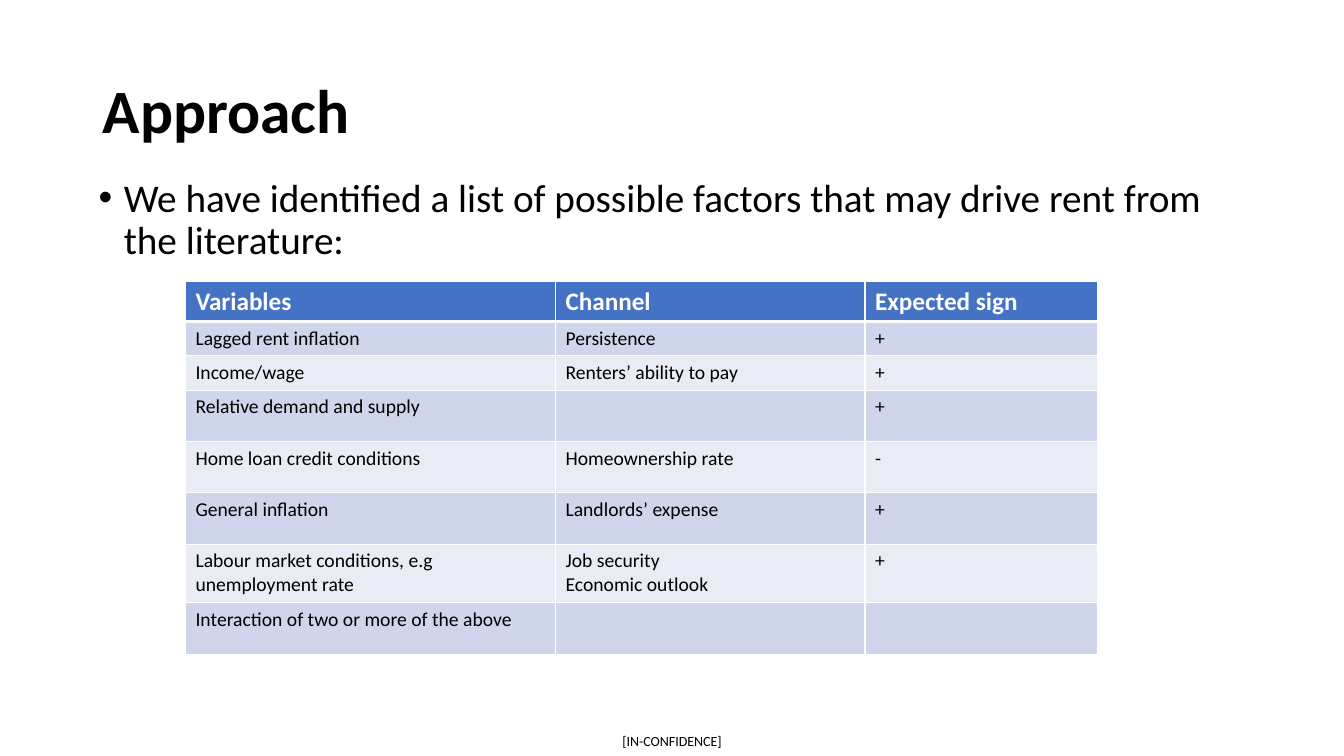
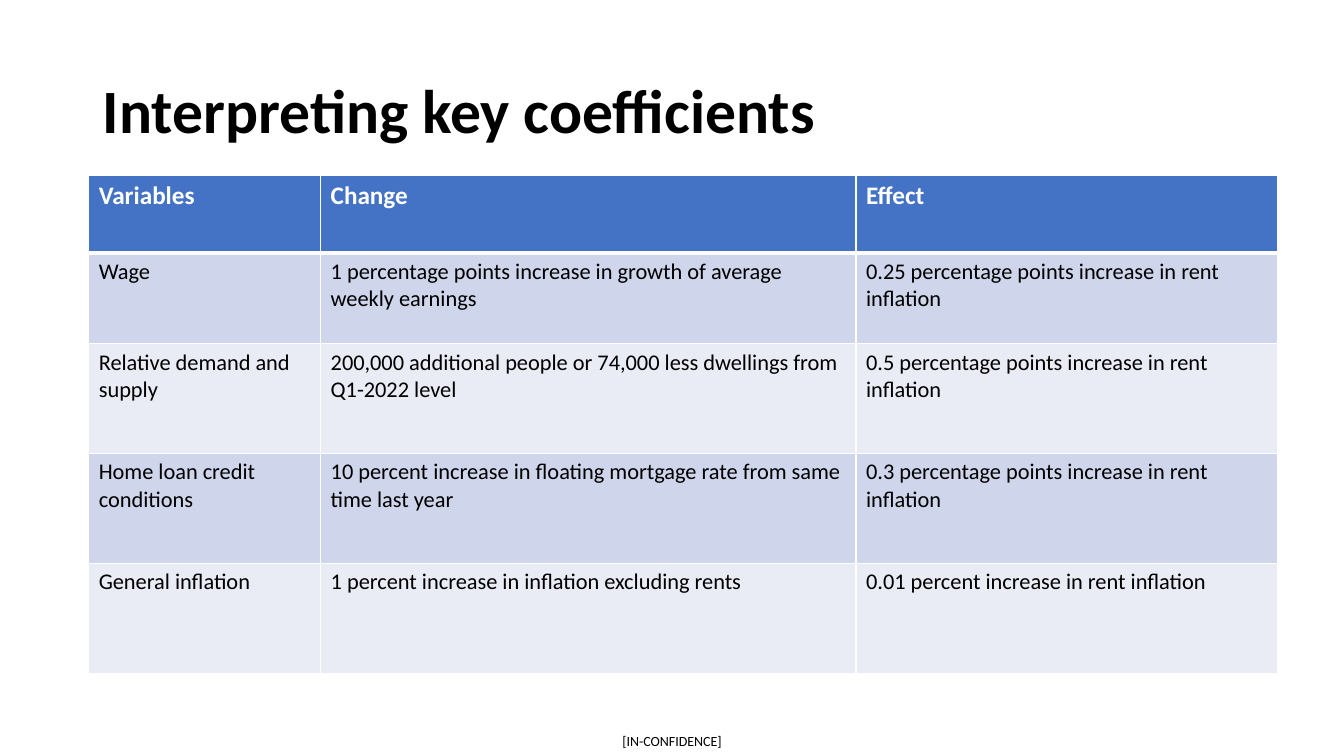
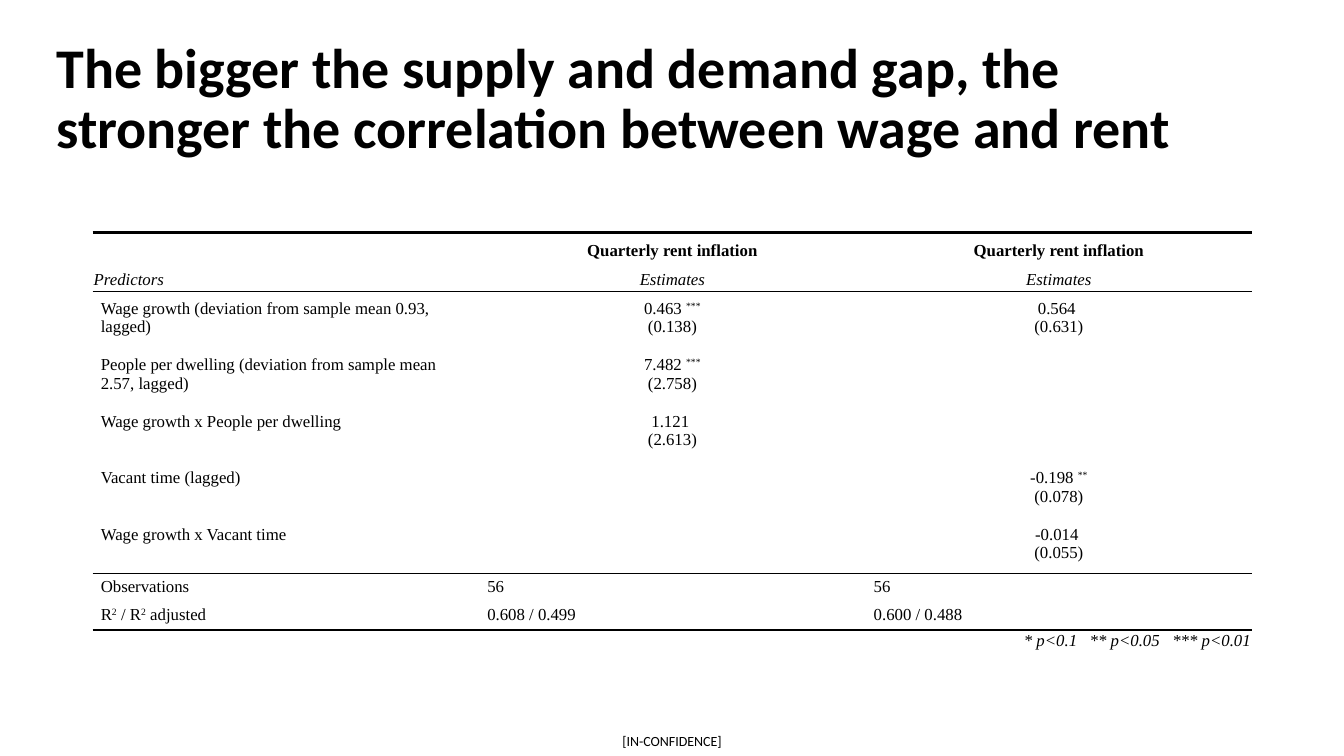
from dataclasses import dataclass, field
from typing import NamedTuple

from lxml.etree import SubElement
from pptx import Presentation
from pptx.dml.color import RGBColor
from pptx.enum.text import MSO_ANCHOR as Anchor, MSO_AUTO_SIZE as AutoSize, PP_ALIGN as Align
from pptx.oxml.ns import qn
from pptx.util import Emu, Inches, Pt

COLOURS = {
    "ink": "000000",
    "paper": "FFFFFF",
    "header": "4472C4",
    "dark band": "CFD5EA",
    "light band": "E9EBF5",
}
SANS, SERIF = "Calibri", "Times New Roman"
ALIGNS = {"l": Align.LEFT, "c": Align.CENTER, "r": Align.RIGHT}
SLIDE_WIDTH, SLIDE_HEIGHT = Inches(13.33), Inches(7.5)
TITLE_ONLY = 5


class Box(NamedTuple):
    """A place in percent of the slide's width and height."""
    left: float
    top: float
    width: float
    height: float

    def lengths(self) -> tuple[Emu, ...]:
        sides = (SLIDE_WIDTH, SLIDE_HEIGHT) * 2
        return tuple(Emu(round(side * share / 100)) for side, share in zip(sides, self))


class TextStyle(NamedTuple):
    size: float
    font: str = SANS
    colour: str = "ink"
    bold: bool = False
    italic: bool = False


class RowStyle(NamedTuple):
    text: TextStyle
    fill: str | None = None
    aligns: str = "lll"
    anchor: Anchor = Anchor.TOP
    inset_x: float = 0.1
    inset_y: float = 0.05


class Row(NamedTuple):
    height: float
    style: RowStyle
    cells: tuple[str, ...]


@dataclass
class Grid:
    """A table; columns and rows share the box in proportion."""
    box: Box
    columns: tuple[float, ...]
    rows: list[Row]
    line_colour: str = "paper"
    line_width: float = 1
    rules: dict[int, float] = field(default_factory=lambda: {1: 3})


TITLE_BOX = Box(6.9, 5.33, 86.27, 19.33)
WIDE_TITLE_BOX = Box(3.45, 3.6, 86.27, 19.33)
BODY_BOX = Box(6.6, 22.93, 86.5, 69.07)
FOOTER_BOX = Box(45.09, 96.13, 9.83, 3.87)

HEADER = RowStyle(TextStyle(18, colour="paper", bold=True), "header")


def serif(bold: bool = False, italic: bool = False) -> TextStyle:
    return TextStyle(12, SERIF, bold=bold, italic=italic)


OUTCOME = RowStyle(serif(bold=True), None, "lcc", Anchor.MIDDLE, 0.08, 0.08)
CAPTION = RowStyle(serif(italic=True), None, "lcc", Anchor.MIDDLE, 0.01, 0.01)
ESTIMATE = RowStyle(serif(), None, "lcc", Anchor.TOP, 0.08, 0.08)
SUMMARY = RowStyle(serif(), None, "lll", Anchor.TOP, 0.08, 0.04)
KEY = CAPTION._replace(aligns="rrr")


def colour(name: str) -> RGBColor:
    return RGBColor.from_string(COLOURS[name])


def add_span(para, text: str, style: TextStyle, raised: bool = False) -> None:
    span = para.add_run()
    span.text = text
    span.font.name, span.font.size = style.font, Pt(style.size)
    span.font.bold, span.font.italic = style.bold, style.italic
    span.font.color.rgb = colour(style.colour)
    if raised:
        span.font._element.set("baseline", "30000")


def write(para, text: str, style: TextStyle) -> None:
    """Fill a paragraph; | breaks the line and ^ encloses superscript."""
    if not text:
        SubElement(para._p, qn("a:endParaRPr"), sz=str(style.size * 100))
    for line_number, line in enumerate(text.split("|")):
        if line_number:
            para.add_line_break()
        for part_number, part in enumerate(line.split("^")):
            if part:
                add_span(para, part, style, raised=part_number % 2 == 1)


def add_title(page, text: str, size: float, box: Box) -> None:
    title = page.shapes.title
    title.left, title.top, title.width, title.height = box.lengths()
    frame = title.text_frame
    frame.auto_size, frame.word_wrap = AutoSize.NONE, True
    frame.vertical_anchor = Anchor.MIDDLE
    para = frame.paragraphs[0]
    para.alignment, para.line_spacing = Align.LEFT, 0.9
    write(para, text, TextStyle(size, bold=True))


def add_footer(page) -> None:
    frame = page.shapes.add_textbox(*FOOTER_BOX.lengths()).text_frame
    frame.word_wrap, frame.vertical_anchor = True, Anchor.MIDDLE
    frame.margin_left = frame.margin_right = frame.margin_top = frame.margin_bottom = 0
    para = frame.paragraphs[0]
    para.alignment = Align.CENTER
    write(para, "[IN-CONFIDENCE]", TextStyle(10))


def add_bullet(page, text: str) -> None:
    frame = page.shapes.add_textbox(*BODY_BOX.lengths()).text_frame
    frame.word_wrap = True
    para = frame.paragraphs[0]
    para.line_spacing, para.space_before = 0.9, Pt(10)
    props = para._p.get_or_add_pPr()
    props.set("marL", str(Inches(0.25)))
    props.set("indent", str(-Inches(0.25)))
    SubElement(props, qn("a:buFont"), typeface="Arial")
    SubElement(props, qn("a:buChar"), char="•")
    write(para, text, TextStyle(28))


def add_border(cell, side: str, width: float, line_colour: str) -> None:
    props = cell._tc.get_or_add_tcPr()
    line = SubElement(props, qn(f"a:ln{side}"), w=str(Pt(width)))
    if width:
        fill = SubElement(line, qn("a:solidFill"))
        SubElement(fill, qn("a:srgbClr"), val=COLOURS[line_colour])
    else:
        SubElement(line, qn("a:noFill"))


def fill_cell(cell, text: str, style: RowStyle, align: str) -> None:
    if style.fill:
        cell.fill.solid()
        cell.fill.fore_color.rgb = colour(style.fill)
    else:
        cell.fill.background()
    cell.vertical_anchor = style.anchor
    cell.margin_left = cell.margin_right = Inches(style.inset_x)
    cell.margin_top = cell.margin_bottom = Inches(style.inset_y)
    frame = cell.text_frame
    for number, content in enumerate(text.split("\n")):
        para = frame.add_paragraph() if number else frame.paragraphs[0]
        para.alignment = ALIGNS[align]
        write(para, content, style.text)


def add_grid(page, grid: Grid) -> None:
    left, top, width, height = grid.box.lengths()
    table = page.shapes.add_table(
        len(grid.rows), len(grid.columns), left, top, width, height).table
    table.horz_banding = False
    for column, share in zip(table.columns, grid.columns):
        column.width = round(width * share / sum(grid.columns))
    total = sum(row.height for row in grid.rows)
    for index, row in enumerate(grid.rows):
        table.rows[index].height = round(height * row.height / total)
        above, below = (grid.rules.get(edge, grid.line_width) for edge in (index, index + 1))
        widths = {"L": grid.line_width, "R": grid.line_width, "T": above, "B": below}
        for number in range(len(grid.columns)):
            cell = table.cell(index, number)
            for side, line_width in widths.items():
                add_border(cell, side, line_width, grid.line_colour)
            text = row.cells[number] if number < len(row.cells) else ""
            fill_cell(cell, text, row.style, row.style.aligns[number])
        if len(row.cells) == 1:
            table.cell(index, 0).merge(table.cell(index, len(grid.columns) - 1))


def banded_rows(size: float, header: tuple[float, tuple[str, ...]],
                body: list[tuple[float, tuple[str, ...]]]) -> list[Row]:
    bands = [RowStyle(TextStyle(size), fill) for fill in ("dark band", "light band")]
    rows = [Row(header[0], HEADER, header[1])]
    return rows + [Row(height, bands[number % 2], cells)
                   for number, (height, cells) in enumerate(body)]


FACTORS = Grid(Box(13.8, 37.2, 67.89, 49.07), (3.67, 3.07, 2.31), banded_rows(
    14, (0.38, ("Variables", "Channel", "Expected sign")), [
        (0.34, ("Lagged rent inflation", "Persistence", "+")),
        (0.34, ("Income/wage", "Renters’ ability to pay", "+")),
        (0.51, ("Relative demand and supply", "", "+")),
        (0.51, ("Home loan credit conditions", "Homeownership rate", "-")),
        (0.51, ("General inflation", "Landlords’ expense", "+")),
        (0.58, ("Labour market conditions, e.g unemployment rate",
                "Job security\nEconomic outlook", "+")),
        (0.51, ("Interaction of two or more of the above", "", "")),
    ]))

EFFECTS = Grid(Box(6.6, 23.2, 88.45, 65.87), (2.3, 5.31, 4.18), banded_rows(
    16, (0.77, ("Variables", "Change", "Effect")), [
        (0.9, ("Wage",
               "1 percentage points increase in growth of average weekly earnings",
               "0.25 percentage points increase in rent inflation")),
        (1.09, ("Relative demand and supply",
                "200,000 additional people or 74,000 less dwellings from Q1-2022 level",
                "0.5 percentage points increase in rent inflation")),
        (1.09, ("Home loan credit conditions",
                "10 percent increase in floating mortgage rate from same time last year",
                "0.3 percentage points increase in rent inflation")),
        (1.09, ("General inflation",
                "1 percent increase in inflation excluding rents",
                "0.01 percent increase in rent inflation")),
    ]))

REGRESSION = Grid(Box(6.9, 30.8, 86.27, 52.27), (1, 1, 1), [
    Row(0.35, OUTCOME, ("", "Quarterly rent inflation", "Quarterly rent inflation")),
    Row(0.2, CAPTION, ("Predictors", "Estimates", "Estimates")),
    Row(0.53, ESTIMATE, ("Wage growth (deviation from sample mean 0.93, lagged)",
                         "0.463 ^***^|(0.138)", "0.564 |(0.631)")),
    Row(0.53, ESTIMATE, ("People per dwelling (deviation from sample mean 2.57, lagged)",
                         "7.482 ^***^|(2.758)", "")),
    Row(0.53, ESTIMATE, ("Wage growth x People per dwelling", "1.121 |(2.613)", "")),
    Row(0.53, ESTIMATE, ("Vacant time (lagged)", "", "-0.198 ^**^|(0.078)")),
    Row(0.53, ESTIMATE, ("Wage growth x Vacant time", "", "-0.014 |(0.055)")),
    Row(0.26, SUMMARY, ("Observations", "56", "56")),
    Row(0.26, SUMMARY, ("R^2^ / R^2^ adjusted", "0.608 / 0.499", "0.600 / 0.488")),
    Row(0.2, KEY, ("* p<0.1   ** p<0.05   *** p<0.01",)),
], line_colour="ink", line_width=0, rules={0: 2.25, 2: 1, 7: 1, 9: 2.25})


def add_page(deck, title: str, grid: Grid, size: float = 44, box: Box = TITLE_BOX,
             bullet: str = "") -> None:
    page = deck.slides.add_slide(deck.slide_layouts[TITLE_ONLY])
    add_footer(page)
    if bullet:
        add_bullet(page, bullet)
    add_title(page, title, size, box)
    add_grid(page, grid)


def main() -> None:
    deck = Presentation()
    deck.slide_width, deck.slide_height = SLIDE_WIDTH, SLIDE_HEIGHT
    add_page(deck, "Approach", FACTORS,
             bullet="We have identified a list of possible factors that may drive rent "
                    "from the literature:")
    add_page(deck, "Interpreting key coefficients", EFFECTS)
    add_page(deck, "The bigger the supply and demand gap, the stronger the correlation "
                   "between wage and rent", REGRESSION, 40, WIDE_TITLE_BOX)
    deck.save("out.pptx")


if __name__ == "__main__":
    main()
